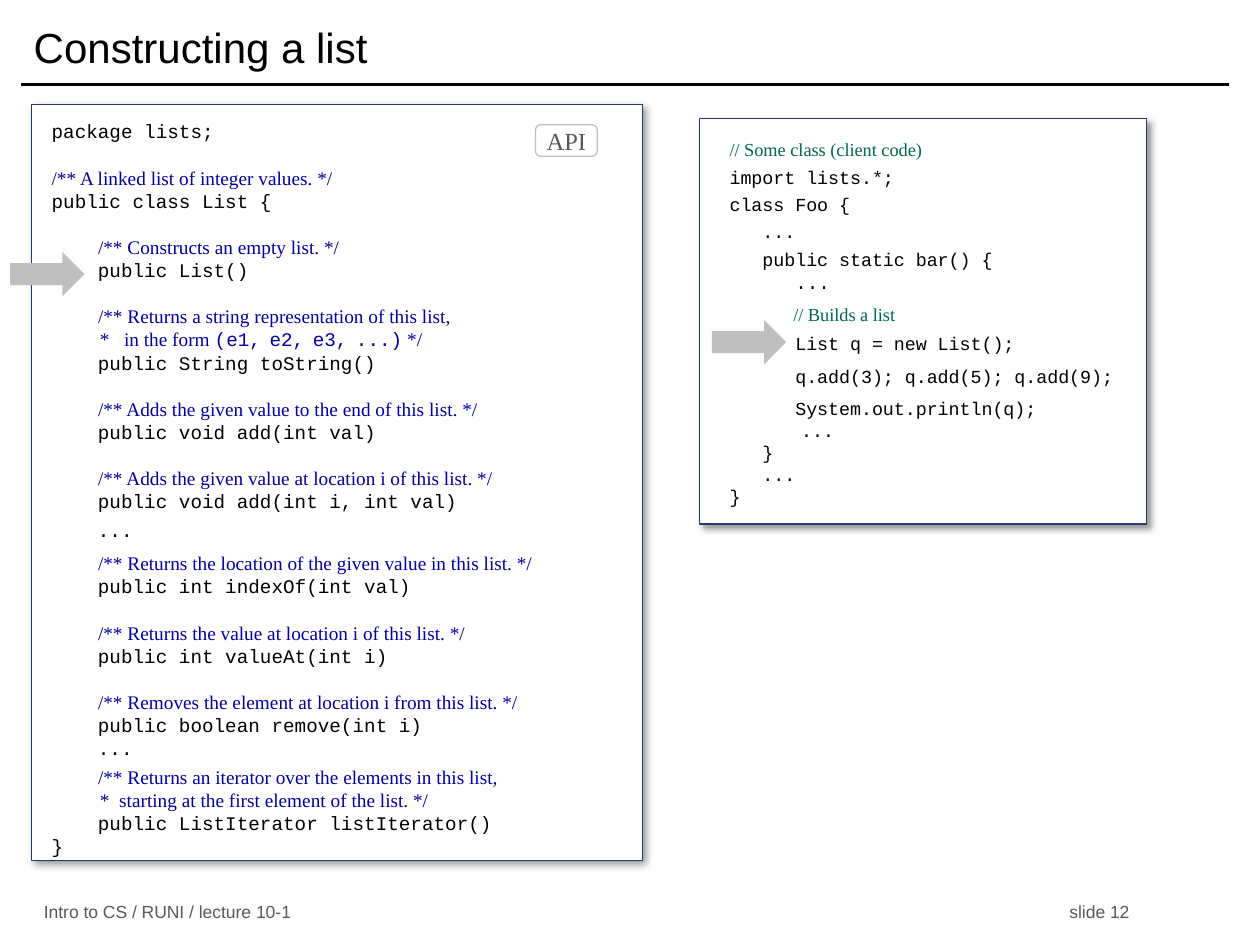
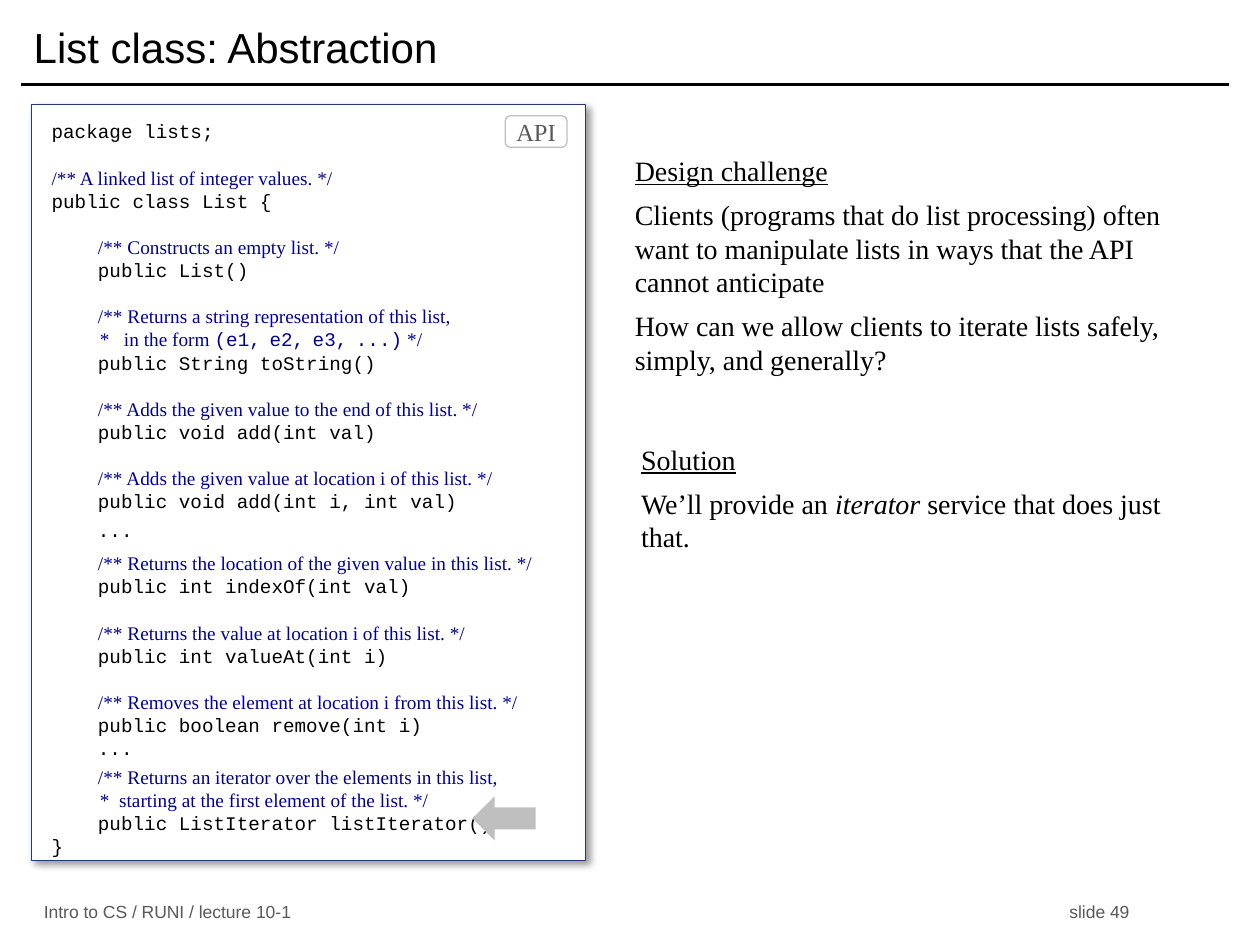
import pptx
import pptx.util
import pptx.dml.color
import pptx.enum.shapes
import pptx.enum.text
import pptx.oxml
import pptx.oxml.ns

Pt = pptx.util.Pt
Shape = pptx.enum.shapes.MSO_SHAPE
Anchor = pptx.enum.text.MSO_ANCHOR
Align = pptx.enum.text.PP_ALIGN

COLORS = {
    "black": "000000", "white": "FFFFFF", "frame": "293973", "gray": "BFBFBF",
    "label": "595959", "doc": "000099", "note": "00664D",
}
SANS, MONO, SERIF = "Arial", "Courier New", "Times New Roman"

STYLES = {
    "title": ({"name": SANS, "size": Pt(24)}, "black"),
    "footer": ({"name": SANS, "size": Pt(10)}, "label"),
    "badge": ({"name": SERIF, "size": Pt(14)}, "label"),
    "code": ({"name": MONO, "size": Pt(11)}, "black"),
    "doc": ({"name": SERIF, "size": Pt(11)}, "doc"),
    "doc code": ({"name": MONO, "size": Pt(11)}, "doc"),
    "doc gap": ({"name": MONO, "size": Pt(8)}, "doc"),
    "client": ({"name": MONO, "size": Pt(10.5)}, "black"),
    "client gap": ({"name": MONO, "size": Pt(8)}, "black"),
    "note": ({"name": SERIF, "size": Pt(10.5)}, "note"),
    "heading": ({"name": SERIF, "size": Pt(16), "underline": True}, "black"),
    "body": ({"name": SERIF, "size": Pt(16)}, "black"),
    "term": ({"name": SERIF, "size": Pt(16), "italic": True}, "black"),
}

FOOTER = "Intro to CS / RUNI / lecture 10-1"
BLANK = 13.2
INDENT = ("code", "    ")

API_LINES = [
    (0, ("code", "package lists;")),
    (BLANK, ("doc", "/** A linked list of integer values. */")),
    (0, ("code", "public class List {")),
    (BLANK, INDENT, ("doc", "/** Constructs an empty list. */")),
    (0, ("code", "    public List()")),
    (BLANK, INDENT, ("doc", "/** Returns a string representation of this list,")),
    (0, ("doc", "          *   in the form "), ("doc code", "(e1,"), ("doc gap", " "),
     ("doc code", "e2,"), ("doc gap", " "), ("doc code", "e3,"), ("doc gap", " "),
     ("doc code", "...)"), ("doc", " */")),
    (0, ("code", "    public String toString()")),
    (BLANK, INDENT, ("doc", "/** Adds the given value to the end of this list. */")),
    (0, ("code", "    public void add(int val)")),
    (BLANK, INDENT, ("doc", "/** Adds the given value at location i of this list. */")),
    (0, ("code", "    public void add(int i, int val)")),
    (3, ("code", "    ...")),
    (6, INDENT, ("doc", "/** Returns the location of the given value in this list. */")),
    (0, ("code", "    public int indexOf(int val)")),
    (BLANK, INDENT, ("doc", "/** Returns the value at location i of this list. */")),
    (0, ("code", "    public int valueAt(int i)")),
    (BLANK, INDENT, ("doc", "/** Removes the element at location i from this list. */")),
    (0, ("code", "    public boolean remove(int i)")),
    (0, ("code", "    ...")),
    (3, INDENT, ("doc", "/** Returns an iterator over the elements in this list,")),
    (0, ("doc", "          *  starting at the first element of the list. */")),
    (0, ("code", "    public ListIterator listIterator()")),
    (0, ("code", "}")),
]

CLIENT_LINES = [
    (0, ("note", "// Some class (client code)")),
    (3, ("client", "import lists.*;")),
    (3, ("client", "class Foo {")),
    (3, ("client", "   ...")),
    (3, ("client", "   public static bar() {")),
    (0, ("client", "      "), ("code", "...")),
    (6, ("note", "              // Builds a list")),
    (4, ("client", "      List q = new List();")),
    (6, ("client", "      q.add(3); q.add(5); q.add(9);")),
    (6, ("client", "      System.out.println(q);")),
    (0, ("client", "    "), ("client gap", " "), ("client", " "), ("client gap", " "),
     ("client", "...")),
    (0, ("client", "   }")),
    (0, ("client", "   ...")),
    (0, ("client", "}")),
]

CHALLENGE_LINES = [
    (0, ("heading", "Design challenge")),
    (6, ("body", "Clients (programs that do list processing) often want to manipulate "
                 "lists in ways that the API cannot anticipate")),
    (6, ("body", "How can we allow clients to iterate lists safely, simply, and generally?")),
]

SOLUTION_LINES = [
    (0, ("heading", "Solution")),
    (6, ("body", "We’ll provide an "), ("term", "iterator"),
     ("body", " service that does just that.")),
]

SLIDES = [
    {"title": "Constructing a list", "number": 12, "api_width": 349.2,
     "client": (399.6, 67.7, 255.6, 231.8), "badge": (306, 71.3), "notes": [],
     "arrows": [(406.8, 182.9, 42.5, 0), (5.8, 144, 42.5, 0)]},
    {"title": "List class: Abstraction", "number": 49, "api_width": 316.8,
     "client": None, "badge": (288.7, 66.2),
     "notes": [((355.7, 84.2, 321.8, 144), CHALLENGE_LINES),
               ((359.3, 249.1, 321.8, 126), SOLUTION_LINES)],
     "arrows": [(270, 455, 36, 180)]},
]


def points(values):
    return [Pt(value) for value in values]


def rgb(name):
    return pptx.dml.color.RGBColor.from_string(COLORS[name])


def apply(target, values):
    for key, value in values.items():
        setattr(target, key, value)


def write(box, lines, margins=(7.2, 3.6, 7.2, 3.6), anchor=Anchor.TOP, align=Align.LEFT):
    frame = box.text_frame
    sides = ("margin_left", "margin_top", "margin_right", "margin_bottom")
    apply(frame, {"word_wrap": True, "vertical_anchor": anchor, **dict(zip(sides, points(margins)))})
    for index, (space, *spans) in enumerate(lines):
        para = frame.add_paragraph() if index else frame.paragraphs[0]
        apply(para, {"alignment": align, "space_before": Pt(space)})
        for style, text in spans:
            span = para.add_run()
            span.text = text
            values, color = STYLES[style]
            apply(span.font, values)
            span.font.color.rgb = rgb(color)
    return box


def add_text(page, place, lines, **options):
    return write(page.shapes.add_textbox(*points(place)), lines, **options)


def add_shape(page, kind, place, fill, line=None):
    shape = page.shapes.add_shape(kind, *points(place))
    shape.shadow.inherit = False
    shape.fill.solid()
    shape.fill.fore_color.rgb = rgb(fill)
    if line:
        shape.line.color.rgb = rgb(line)
        shape.line.width = Pt(0.75)
    else:
        shape.line.fill.background()
    return shape


def add_code_panel(page, place, lines, margins):
    panel = add_shape(page, Shape.RECTANGLE, place, "white", "frame")
    effects = panel._element.spPr.find(pptx.oxml.ns.qn("a:effectLst"))
    effects.append(pptx.oxml.parse_xml(
        f'<a:outerShdw {pptx.oxml.ns.nsdecls("a")} blurRad="{Pt(4)}" dist="{Pt(3)}" '
        f'dir="2700000" algn="tl" rotWithShape="0"><a:srgbClr val="{COLORS["black"]}">'
        '<a:alpha val="40000"/></a:srgbClr></a:outerShdw>'))
    write(panel, lines, margins)


def add_frame(page, title, number):
    rule = page.shapes.add_connector(
        pptx.enum.shapes.MSO_CONNECTOR.STRAIGHT, *points((12.2, 48.2, 702, 48.2)))
    rule.line.color.rgb = rgb("black")
    rule.line.width = Pt(2)
    rule._element.spPr.append(pptx.oxml.parse_xml(
        f'<a:effectLst {pptx.oxml.ns.nsdecls("a")}/>'))
    footer = add_text(page, (18, 514.1, 678, 13.7),
                      [(0, ("footer", f"{FOOTER}\tslide {number}"))], anchor=Anchor.MIDDLE)
    footer.text_frame.paragraphs[0]._p.get_or_add_pPr().append(pptx.oxml.parse_xml(
        f'<a:tabLst {pptx.oxml.ns.nsdecls("a")}><a:tab pos="{Pt(586)}" algn="l"/></a:tabLst>'))
    add_text(page, (12.2, 5.8, 689.8, 41.8), [(0, ("title", title))], anchor=Anchor.MIDDLE)


def add_slide(deck, content):
    page = deck.slides.add_slide(deck.slide_layouts[6])
    add_frame(page, content["title"], content["number"])
    if content["client"]:
        add_code_panel(page, content["client"], CLIENT_LINES, (17.3, 11.5, 0, 0))
    add_code_panel(page, (18, 59.8, content["api_width"], 432), API_LINES, (11.5, 8.6, 0, 0))
    badge = add_shape(page, Shape.ROUNDED_RECTANGLE, (*content["badge"], 35.3, 18), "white", "gray")
    write(badge, [(0, ("badge", "API"))], (0, 3.6, 0, 3.6), Anchor.MIDDLE, Align.CENTER)
    for place, lines in content["notes"]:
        add_text(page, place, lines)
    for left, top, width, rotation in content["arrows"]:
        arrow = add_shape(page, Shape.RIGHT_ARROW, (left, top, width, 25.2), "gray")
        arrow.rotation = rotation


def main():
    deck = pptx.Presentation()
    apply(deck, {"slide_width": Pt(720), "slide_height": Pt(540)})
    for content in SLIDES:
        add_slide(deck, content)
    deck.save("out.pptx")


if __name__ == "__main__":
    main()
